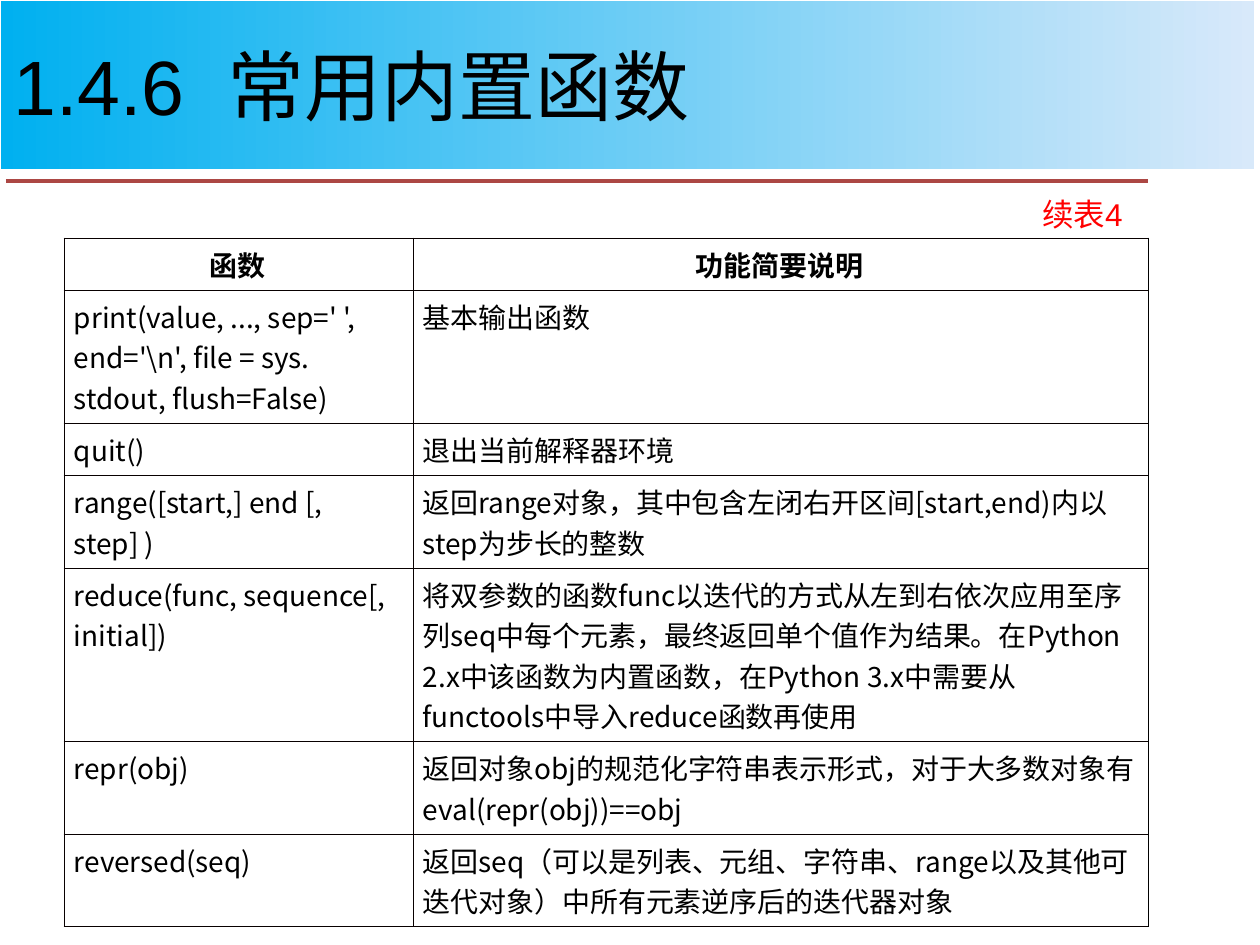
from lxml import etree
from pptx import Presentation
from pptx.dml.color import RGBColor
from pptx.enum.shapes import MSO_CONNECTOR, MSO_SHAPE
from pptx.enum.text import MSO_ANCHOR, MSO_AUTO_SIZE, PP_ALIGN
from pptx.oxml.ns import qn
from pptx.util import Emu, Pt

RECT = MSO_SHAPE.RECTANGLE
STRAIGHT = MSO_CONNECTOR.STRAIGHT
MIDDLE = MSO_ANCHOR.MIDDLE
GROW = MSO_AUTO_SIZE.SHAPE_TO_FIT_TEXT
LEFT, CENTER, RIGHT = PP_ALIGN.LEFT, PP_ALIGN.CENTER, PP_ALIGN.RIGHT

BLACK = RGBColor(0, 0, 0)
EDGE = RGBColor(8, 0, 0)
RED = RGBColor(255, 0, 0)
RULE = RGBColor(0xAC, 0x47, 0x44)
SKY = RGBColor(0, 0xB0, 0xF0)
PALE = RGBColor(0xD8, 0xE9, 0xFA)
SCALE = 914400 / 126

WIDTHS = (349, 735)
HEIGHTS = (47, 117, 38, 77, 154, 77, 77)
ROWS = (
    ("函数", "功能简要说明"),
    ("print(value, ..., sep=' ', end='\\n', file = sys. stdout, flush=False)",
     "基本输出函数"),
    ("quit()", "退出当前解释器环境"),
    ("range([start,] end [, step] )",
     "返回range对象，其中包含左闭右开区间[start,end)内以step为步长的整数"),
    ("reduce(func, sequence[, initial])",
     "将双参数的函数func以迭代的方式从左到右依次应用至序列seq中每个元素，"
     "最终返回单个值作为结果。在Python 2.x中该函数为内置函数，"
     "在Python 3.x中需要从functools中导入reduce函数再使用"),
    ("repr(obj)",
     "返回对象obj的规范化字符串表示形式，对于大多数对象有eval(repr(obj))==obj"),
    ("reversed(seq)",
     "返回seq（可以是列表、元组、字符串、range以及其他可迭代对象）中所有元素逆序后的迭代器对象"),
)


def px(*sizes):
    return [Emu(round(size * SCALE)) for size in sizes]


class Deck:
    head = "Arial"
    body = "Noto Sans CJK SC"

    def __init__(self, wide, high):
        self.show = Presentation()
        self.show.slide_width, self.show.slide_height = px(wide, high)
        self.slide = self.show.slides.add_slide(self.show.slide_layouts[6])

    def put(self, frame, text, size, face, color, align=LEFT, bold=False):
        frame.word_wrap = True
        para = frame.paragraphs[0]
        para.text = text
        para.alignment = align
        font = para.font
        font.size, font.name, font.bold = Pt(size), face, bold
        font.color.rgb = color
        base = para._p.pPr.find(qn("a:defRPr"))
        etree.SubElement(base, qn("a:ea"), typeface=self.body)

    def banner(self, box, text):
        shape = self.slide.shapes.add_shape(RECT, *px(*box))
        shape.shadow.inherit = False
        shape.line.fill.background()
        shape.fill.gradient()
        shape.fill.gradient_angle = 0
        for stop, color in zip(shape.fill.gradient_stops, (SKY, PALE)):
            stop.color.rgb = color
        shape.text_frame.vertical_anchor = MIDDLE
        self.put(shape.text_frame, text, 44, self.head, BLACK)

    def rule(self, ends):
        line = self.slide.shapes.add_connector(STRAIGHT, *px(*ends))
        line.line.color.rgb = RULE
        line.line.width = Pt(2.25)
        etree.SubElement(line._element.spPr, qn("a:effectLst"))

    def label(self, box, text):
        area = self.slide.shapes.add_textbox(*px(*box))
        area.text_frame.auto_size = GROW
        self.put(area.text_frame, text, 18, self.head, RED, RIGHT)

    def border(self, cell, side, color, width):
        line = etree.SubElement(cell._tc.get_or_add_tcPr(), qn("a:ln" + side),
                                w=str(Pt(width)))
        fill = etree.SubElement(line, qn("a:solidFill"))
        etree.SubElement(fill, qn("a:srgbClr"), val=str(color))

    def table(self, left, top, widths, heights, rows):
        box = px(left, top, sum(widths), sum(heights))
        grid = self.slide.shapes.add_table(len(rows), len(widths), *box).table
        grid.first_row = grid.horz_banding = False
        for col, width in zip(grid.columns, px(*widths)):
            col.width = width
        for row, height in zip(grid.rows, px(*heights)):
            row.height = height
        last = len(widths) - 1
        for i, texts in enumerate(rows):
            for j, text in enumerate(texts):
                cell = grid.cell(i, j)
                cell.margin_left, cell.margin_right = px(10, 12)
                cell.margin_top, cell.margin_bottom = px(6, 6)
                for side in "LRTB":
                    outer = side == "R" and j == last
                    color, width = (BLACK, 0.34) if outer else (EDGE, 0.45)
                    self.border(cell, side, color, width)
                cell.fill.background()
                self.put(cell.text_frame, text, 16, self.body, BLACK,
                         LEFT if i else CENTER, i == 0)


def main():
    deck = Deck(1260, 945)
    deck.rule((6, 181, 1148, 181))
    deck.table(64, 238, WIDTHS, HEIGHTS, ROWS)
    deck.label((954, 189, 181, 50), "续表4")
    deck.banner((1, 1, 1253, 168), "1.4.6  常用内置函数")
    deck.show.save("out.pptx")


if __name__ == "__main__":
    main()
